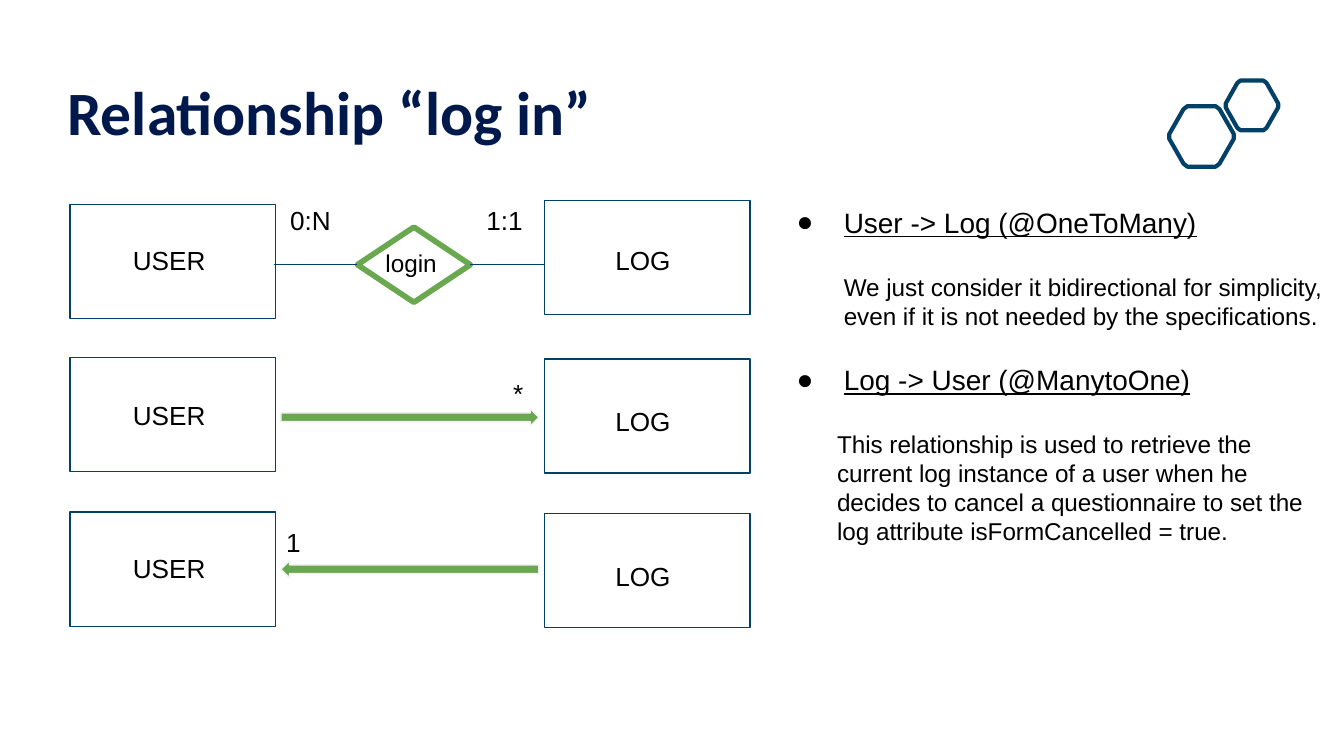
from lxml.etree import SubElement
from pptx import Presentation
from pptx.dml.color import RGBColor
from pptx.enum.shapes import MSO_CONNECTOR as Connector, MSO_SHAPE as Shape
from pptx.enum.text import MSO_ANCHOR as Anchor, MSO_AUTO_SIZE as AutoSize, PP_ALIGN as Align
from pptx.oxml.ns import qn
from pptx.util import Inches, Pt

NAVY, BLUE, GREEN = "00194C", "014067", "6AA84F"
WHITE, BLACK, PALE = "FFFFFF", "000000", "F2F2F2"
BOX_WIDTH, BOX_HEIGHT = 1.53, 0.85
USER_LEFT, LOG_LEFT = 0.52, 4.05
PARAGRAPH_GAP = 17.5
HEXAGON_TOP_LEFT = [(0, 0.46), (0.22, 0.05), (0.28, 0)]


def color(value):
    """Turn a hex string into a colour."""
    return RGBColor.from_string(value)


def style_run(run, size, font="Arial", fill=BLACK, bold=False, underline=False):
    """Set the font of one run."""
    run.font.name = font
    run.font.size = Pt(size)
    run.font.color.rgb = color(fill)
    run.font.bold = bold
    run.font.underline = underline


def style_shape(shape, fill, line, width):
    """Set fill and outline and drop the shadow."""
    shape.shadow.inherit = False
    if fill:
        shape.fill.solid()
        shape.fill.fore_color.rgb = color(fill)
    else:
        shape.fill.background()
    shape.line.color.rgb = color(line)
    shape.line.width = Pt(width)


def add_preset(slide, kind, left, top, width, height, fill=WHITE, line=BLUE, line_width=0.75):
    """Add a filled and outlined preset shape."""
    shape = slide.shapes.add_shape(kind, Inches(left), Inches(top), Inches(width), Inches(height))
    style_shape(shape, fill, line, line_width)
    return shape


def add_text_box(slide, left, top, width, height):
    """Add a wrapping text box with even margins and return its text frame."""
    box = slide.shapes.add_textbox(Inches(left), Inches(top), Inches(width), Inches(height))
    text_frame = box.text_frame
    text_frame.word_wrap = True
    text_frame.auto_size = AutoSize.SHAPE_TO_FIT_TEXT
    text_frame.margin_left = text_frame.margin_right = Inches(0.1)
    text_frame.margin_top = text_frame.margin_bottom = Inches(0.1)
    return text_frame


def add_label(slide, text, left, top, width, height=0.44, size=14):
    """Add a one-line label."""
    text_frame = add_text_box(slide, left, top, width, height)
    text_frame.text = text
    style_run(text_frame.paragraphs[0].runs[0], size)


def add_title(slide, text):
    """Place and format the title placeholder."""
    title = slide.shapes.title
    title.left, title.top, title.width, title.height = map(Inches, (0.43, 0.17, 8.89, 0.94))
    text_frame = title.text_frame
    text_frame.text = text
    text_frame.vertical_anchor = Anchor.BOTTOM
    text_frame.auto_size = AutoSize.NONE
    text_frame.margin_left = text_frame.margin_right = Inches(0.07)
    text_frame.margin_top, text_frame.margin_bottom = Inches(0.04), 0
    paragraph = text_frame.paragraphs[0]
    paragraph.alignment = Align.LEFT
    paragraph.line_spacing = 0.9
    style_run(paragraph.runs[0], 33, "Calibri", NAVY, bold=True)


def add_connector(slide, diamond, site, start, end):
    """Join one side of the diamond to an entity by a straight line."""
    connector = slide.shapes.add_connector(Connector.STRAIGHT, *map(Inches, start + end))
    connector.end_connect(diamond, site)
    connector.line.color.rgb = color(BLUE)
    connector.line.width = Pt(0.75)
    SubElement(connector._element.spPr, qn("a:effectLst"))


def add_hexagon(group, left, top, width, height):
    """Add an outlined hexagon with softened corners."""
    upper = HEXAGON_TOP_LEFT + [(1 - x, y) for x, y in reversed(HEXAGON_TOP_LEFT)]
    corners = upper + [(x, 1 - y) for x, y in reversed(upper)]
    points = [(Inches(left + x * width), Inches(top + y * height)) for x, y in corners]
    builder = group.shapes.build_freeform(*points[0])
    builder.add_line_segments(points[1:], close=True)
    style_shape(builder.convert_to_shape(), None, BLUE, 2.25)


def add_paragraph(text_frame, text, size, indent, space=0, bullet=False):
    """Append an indented paragraph, with an underlined bullet style if asked."""
    first = text_frame.paragraphs[0]
    paragraph = text_frame.add_paragraph() if first.runs else first
    paragraph.text = text
    paragraph.space_before = Pt(space)
    style_run(paragraph.runs[0], size, underline=bullet)
    properties = paragraph._p.get_or_add_pPr()
    properties.set("marL", str(Inches(indent)))
    properties.set("indent", str(Inches(-0.35 if bullet else 0)))
    if bullet:
        bullet_color = SubElement(properties, qn("a:buClr"))
        SubElement(bullet_color, qn("a:srgbClr"), val=BLACK)
        SubElement(properties, qn("a:buFont"), typeface="Arial")
        SubElement(properties, qn("a:buChar"), char="●")


def add_entities(slide):
    """Add the three rows of user and log boxes with their names."""
    rows = [(1.52, 1.49, 1.72, 1.72), (2.66, 2.67, 2.87, 2.92), (3.81, 3.82, 4.01, 4.07)]
    for user_top, log_top, user_text_top, log_text_top in rows:
        add_preset(slide, Shape.RECTANGLE, USER_LEFT, user_top, BOX_WIDTH, BOX_HEIGHT)
        add_preset(slide, Shape.RECTANGLE, LOG_LEFT, log_top, BOX_WIDTH, BOX_HEIGHT)
        add_label(slide, "USER", 0.89, user_text_top, 0.78)
        add_label(slide, "LOG", 4.48, log_text_top, 0.78)


def add_relationships(slide):
    """Add the login diamond, the arrows and the cardinalities."""
    diamond = add_preset(slide, Shape.DIAMOND, 2.66, 1.69, 0.84, 0.56, line=GREEN, line_width=3)
    add_connector(slide, diamond, 1, (2.04, 1.97), (2.66, 1.97))
    add_connector(slide, diamond, 3, (4.05, 1.97), (3.5, 1.97))
    add_label(slide, "login", 2.77, 1.75, 0.66, 0.42, 13)
    for top, rotation in [(3.04, 0), (4.17, 180)]:
        arrow = add_preset(slide, Shape.RIGHT_ARROW, 2.09, top, 1.92, 0.13, GREEN, PALE)
        arrow.rotation = rotation
    cardinalities = [("0:N", 2.06, 1.42, 0.57), ("1:1", 3.52, 1.42, 0.5),
                     ("*", 3.72, 2.71, 0.45), ("1", 2.03, 3.82, 0.45)]
    for text, left, top, width in cardinalities:
        add_label(slide, text, left, top, width)


def add_explanation(slide):
    """Add the text on both directions of the relationship."""
    text_frame = add_text_box(slide, 5.68, 1.43, 4.27, 3)
    add_paragraph(text_frame, "User -> Log (@OneToMany)", 15, 0.5, bullet=True)
    add_paragraph(text_frame, "We just consider it bidirectional for simplicity, "
                  "even if it is not needed by the specifications.", 13, 0.5, PARAGRAPH_GAP)
    add_paragraph(text_frame, "Log -> User (@ManytoOne)", 15, 0.5, PARAGRAPH_GAP, bullet=True)
    lines = ["This relationship is used to retrieve the",
             "current log instance of a user when he",
             "decides to cancel a questionnaire to set the",
             "log attribute isFormCancelled = true."]
    for index, line in enumerate(lines):
        add_paragraph(text_frame, line, 13, 0.45, 0 if index else PARAGRAPH_GAP)


def main():
    """Build the slide and save it."""
    presentation = Presentation()
    presentation.slide_width = Inches(10)
    presentation.slide_height = Inches(10) * 9 // 16
    slide = presentation.slides.add_slide(presentation.slide_layouts[5])
    add_title(slide, "Relationship “log in”")
    add_entities(slide)
    add_relationships(slide)
    add_explanation(slide)
    hexagons = slide.shapes.add_group_shape()
    add_hexagon(hexagons, 8.7, 0.79, 0.48, 0.45)
    add_hexagon(hexagons, 9.12, 0.6, 0.39, 0.37)
    presentation.save("out.pptx")


if __name__ == "__main__":
    main()
